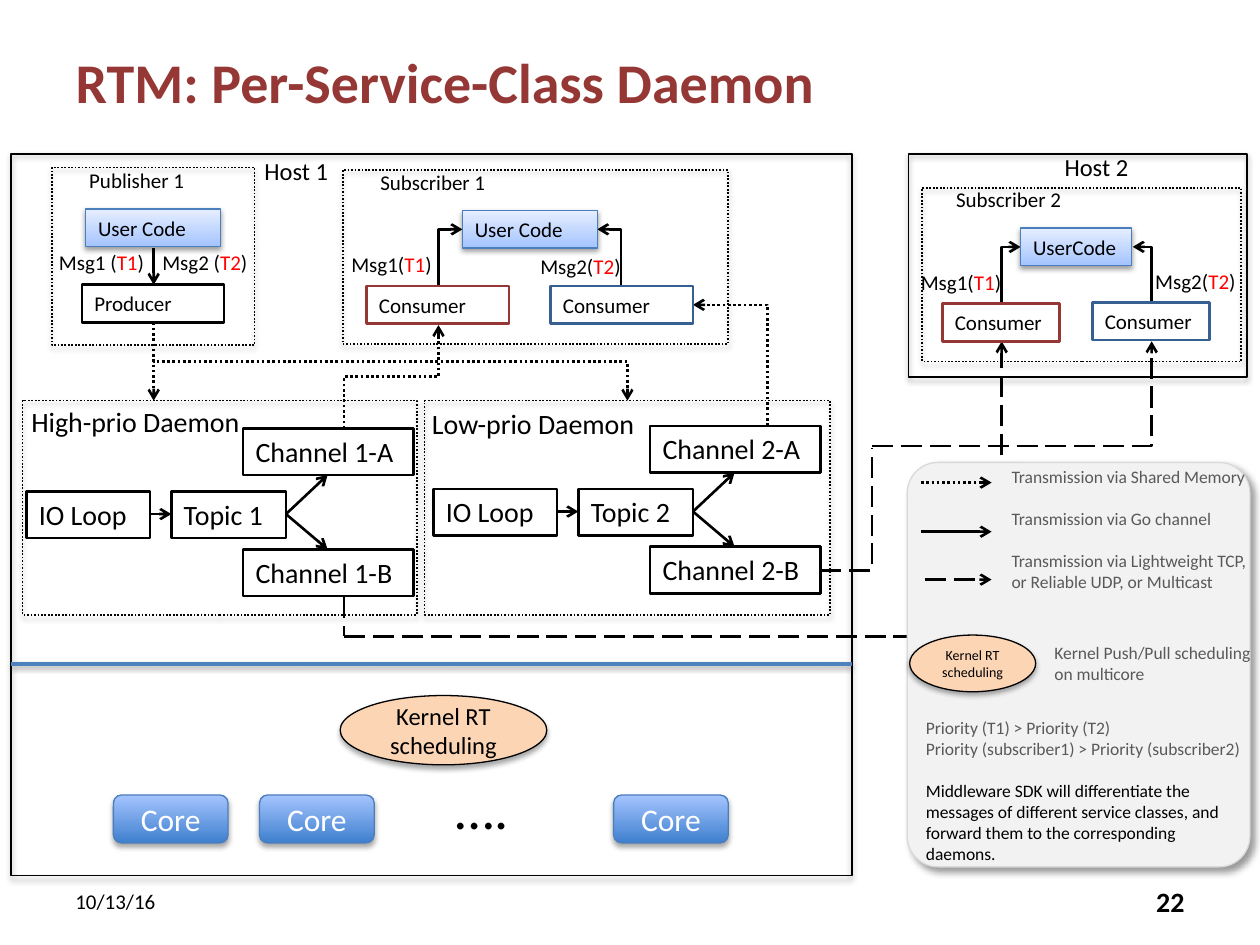
import pptx
import pptx.util
import pptx.dml.color
import pptx.enum.dml
import pptx.enum.shapes
import pptx.enum.text
import pptx.oxml.ns
from lxml import etree

Inches, Pt = pptx.util.Inches, pptx.util.Pt
RGB, qn = pptx.dml.color.RGBColor, pptx.oxml.ns.qn
PRESET, LINK = pptx.enum.shapes.MSO_SHAPE, pptx.enum.shapes.MSO_CONNECTOR
ANCHOR, ALIGN = pptx.enum.text.MSO_ANCHOR, pptx.enum.text.PP_ALIGN
FIT = pptx.enum.text.MSO_AUTO_SIZE
DOT = pptx.enum.dml.MSO_LINE.ROUND_DOT
DASH = pptx.enum.dml.MSO_LINE.LONG_DASH

BLACK, WHITE = RGB(0, 0, 0), RGB(255, 255, 255)
RED, MAROON, NAVY = RGB(255, 0, 0), RGB(0x95, 0x37, 0x35), RGB(0x37, 0x60, 0x92)
GREY, PANEL, EDGE = RGB(0x59, 0x59, 0x59), RGB(0xF2, 0xF2, 0xF2), RGB(0xD9, 0xD9, 0xD9)
PEACH, BLUE, RULE = RGB(0xFC, 0xD5, 0xB5), RGB(0x4B, 0x7E, 0xBC), RGB(0x4F, 0x81, 0xBD)
SKY, PALE, DEEP = RGB(0xA4, 0xC4, 0xFF), RGB(0xE6, 0xEE, 0xFF), RGB(0x3F, 0x80, 0xCE)

# Content: text between bars is red
TITLE = "RTM: Per-Service-Class Daemon"
FRAMES = [  # place, dash
    ((0.09, 1.22, 6.67, 5.73), None), ((7.21, 1.22, 2.69, 1.77), None),
    ((0.41, 1.33, 1.61, 1.41), DOT), ((2.72, 1.35, 3.06, 1.38), DOT),
    ((7.32, 1.49, 2.53, 1.38), DOT),
    ((0.18, 3.18, 3.13, 1.7), DOT), ((3.37, 3.18, 3.22, 1.7), DOT)]
LABELS = [  # text, place, size
    ("10/13/16", (0.5, 7, 2.33, 0.3), 12),
    ("Host 1", (2, 1.19, 0.91, 0.34), 14), ("Host 2", (8.35, 1.16, 0.91, 0.34), 14),
    ("Publisher 1", (0.61, 1.28, 1.37, 0.3), 12),
    ("Subscriber 1", (2.92, 1.3, 1.37, 0.3), 12),
    ("Subscriber 2", (7.49, 1.43, 1.14, 0.3), 12),
    ("Msg1 (|T1|)", (0.37, 1.93, 0.93, 0.3), 12),
    ("Msg2 (|T2|)", (1.19, 1.93, 0.93, 0.3), 12),
    ("Msg1(|T1|)", (2.69, 1.95, 0.93, 0.3), 12),
    ("Msg2(|T2|)", (4.19, 1.96, 0.93, 0.3), 12),
    ("Msg1(|T1|)", (7.21, 2.09, 0.89, 0.3), 12),
    ("Msg2(|T2|)", (9.07, 2.08, 0.88, 0.3), 12),
    ("High-prio Daemon", (0.15, 3.16, 1.97, 0.37), 16),
    ("Low-prio Daemon", (3.33, 3.18, 2.85, 0.37), 16),
    ("….", (3.52, 6.09, 0.66, 0.64), 32)]
USER_CODE = [("User Code", (0.68, 1.66, 1.07, 0.3)), ("User Code", (3.67, 1.67, 1.07, 0.3)),
             ("UserCode", (8.1, 1.81, 0.88, 0.3))]
ENDPOINTS = [("Producer", (0.65, 2.26, 1.13, 0.3), BLACK),
             ("Consumer", (2.91, 2.27, 1.13, 0.3), MAROON),
             ("Consumer", (4.37, 2.27, 1.13, 0.3), NAVY),
             ("Consumer", (7.48, 2.41, 0.93, 0.3), MAROON),
             ("Consumer", (8.67, 2.4, 0.93, 0.3), NAVY)]
DAEMONS = [(1, 0.21, 3.9), (2, 3.44, 3.88)]  # number, left and top of its IO loop
DAEMON_STEPS = [("IO Loop", 0, 0, 0.98), ("Topic {}", 1.15, 0, 0.91),
                ("Channel {}-A", 1.72, -0.5, 1.35), ("Channel {}-B", 1.72, 0.46, 1.35)]
DAEMON_ARROWS = [((0.98, 0.18), (1.15, 0.18)), ((2.06, 0.18), (2.39, -0.13)),
                 ((2.06, 0.18), (2.39, 0.46))]
ARROWS = [((1.22, 1.97), (1.22, 2.26), None), ((1.22, 2.56), (1.22, 3.18), DOT),
          ((7.31, 3.83), (7.87, 3.83), DOT), ((7.31, 4.22), (7.87, 4.22), None),
          ((7.34, 4.6), (7.87, 4.6), DASH)]
ELBOWS = [  # from, to, dash, bends, starts upright, arrow end
    ((8.1, 1.96), (7.95, 2.41), None, 1, False, "head"),
    ((9.14, 2.4), (8.99, 1.96), None, 1, True, "tail"),
    ((3.67, 1.82), (3.48, 2.27), None, 1, False, "head"),
    ((4.93, 2.27), (4.74, 1.82), None, 1, True, "tail"),
    ((2.73, 3.4), (3.48, 2.58), DOT, 2, True, "tail"),
    ((1.22, 2.56), (4.98, 3.18), DOT, 2, True, "tail"),
    ((6.09, 3.38), (5.5, 2.42), DOT, 1, True, "tail"),
    ((2.73, 5.05), (7.95, 2.71), DASH, 1, False, "tail"),
    ((6.51, 4.53), (6.92, 3.56), DASH, 1, False, None),
    ((6.92, 3.54), (9.14, 2.71), DASH, 1, False, "tail")]
SCHEDULERS = [((2.7, 5.52, 1.64, 0.55), 14), ((7.22, 5.04, 1, 0.45), 8)]
CORE_LEFTS = [0.9, 2.06, 4.87]
LEGEND = [  # place, paragraphs of (text, colour, space before)
    ((7.93, 3.65, 2.14, 1.11), [
        ("Transmission via Shared Memory", GREY, 0), ("Transmission via Go channel", GREY, 12),
        ("Transmission via Lightweight TCP, or Reliable UDP, or Multicast", GREY, 12)]),
    ((8.27, 5.05, 1.86, 0.44), [("Kernel Push/Pull scheduling", GREY, 0),
                                ("on multicore", GREY, 0)]),
    ((7.25, 5.64, 2.72, 1.28), [
        ("Priority (T1) > Priority (T2)", GREY, 0),
        ("Priority (subscriber1) > Priority (subscriber2)", GREY, 0),
        ("Middleware SDK will differentiate the messages of different service classes, "
         "and forward them to the corresponding daemons.", BLACK, 12)])]


def apply(target, **values):
    for name, value in values.items():
        setattr(target, name, value)


def write(frame, paragraphs, size, bold=False, align=ALIGN.LEFT, anchor=ANCHOR.TOP, fit=FIT.NONE):
    apply(frame, word_wrap=True, vertical_anchor=anchor, auto_size=fit)
    for i, (text, color, gap) in enumerate(paragraphs):
        line = frame.add_paragraph() if i else frame.paragraphs[0]
        apply(line, alignment=align, space_before=Pt(gap))
        for j, piece in enumerate(text.split("|")):
            run = line.add_run()
            run.text = piece
            apply(run.font, name="Calibri", size=Pt(size), bold=bold)
            run.font.color.rgb = RED if j % 2 else color


def label(place, paragraphs, size, **style):
    box = slide.shapes.add_textbox(*map(Inches, place))
    write(box.text_frame, paragraphs, size, **{"fit": FIT.SHAPE_TO_FIT_TEXT, **style})


def cast_shadow(part, alpha=35, blur=3.1, distance=1.8, angle=90):
    effects = part._element.spPr.find(qn("a:effectLst"))
    shadow = etree.SubElement(effects, qn("a:outerShdw"), blurRad=str(Pt(blur)),
                              dist=str(Pt(distance)), dir=str(angle * 60000), rotWithShape="0")
    tint = etree.SubElement(shadow, qn("a:srgbClr"), val="000000")
    etree.SubElement(tint, qn("a:alpha"), val=str(alpha * 1000))


def outline(part, color, width, dash=None):
    part.line.color.rgb = color
    apply(part.line, width=Pt(width), dash_style=dash)


def block(place, preset=PRESET.RECTANGLE, fill=None, line=BLACK, width=1.5, dash=None,
          shadow=None, text=None, size=12, color=BLACK, **style):
    part = slide.shapes.add_shape(preset, *map(Inches, place))
    part.shadow.inherit = False
    if fill is None:
        part.fill.background()
    elif isinstance(fill, list):
        part.fill.gradient()
        part.fill.gradient_angle = 90
        for stop, shade in zip(part.fill.gradient_stops, fill):
            stop.color.rgb = shade
    else:
        part.fill.solid()
        part.fill.fore_color.rgb = fill
    outline(part, line, width, dash)
    if shadow is not None:
        cast_shadow(part, **shadow)
    if text:
        write(part.text_frame, [(text, color, 0)], size, **style)
    return part


def connect(start, end, dash=None, bends=0, upright=False, arrow="tail", color=BLACK, width=1.5):
    (x1, y1), (x2, y2) = start, end
    if upright:  # drawn lying down about its middle, then turned by 270 degrees
        mid_x, mid_y, run, rise = (x1 + x2) / 2, (y1 + y2) / 2, y1 - y2, x2 - x1
        x1, x2 = mid_x - run / 2, mid_x + run / 2
        y1, y2 = mid_y - rise / 2, mid_y + rise / 2
    link = slide.shapes.add_connector(LINK.ELBOW if bends else LINK.STRAIGHT,
                                      *map(Inches, (x1, y1, x2, y2)))
    outline(link, color, width, dash)
    shape_xml = link._element.spPr
    if upright:
        shape_xml.find(qn("a:xfrm")).set("rot", str(270 * 60000))
    if bends == 1:
        shape_xml.find(qn("a:prstGeom")).set("prst", "bentConnector2")
    if arrow:
        etree.SubElement(shape_xml.find(qn("a:ln")), qn(f"a:{arrow}End"), type="arrow")
    etree.SubElement(shape_xml, qn("a:effectLst"))
    return link


deck = pptx.Presentation()
apply(deck, slide_width=Inches(10), slide_height=Inches(7.5))
slide = deck.slides.add_slide(deck.slide_layouts[5])

# Title and page number
title = slide.shapes.title
apply(title, left=Inches(0.5), top=Inches(0.3), width=Inches(9), height=Inches(0.69))
write(title.text_frame, [(TITLE, MAROON, 0)], 32, bold=True, anchor=ANCHOR.MIDDLE)
label((7.17, 6.95, 2.33, 0.4), [("22", BLACK, 0)], 16, bold=True, align=ALIGN.RIGHT,
      anchor=ANCHOR.MIDDLE, fit=FIT.NONE)

# Hosts, message routes and the legend panel that covers one of them
for place, dash in FRAMES:
    block(place, width=1, dash=dash, shadow={})
for route in ELBOWS:
    connect(*route)
connect((2.73, 4.74), (2.73, 5.05), DASH, arrow=None)
panel = block((7.2, 3.67, 2.72, 3.21), PRESET.ROUNDED_RECTANGLE, PANEL, EDGE, 0.75,
              shadow=dict(alpha=40, blur=4, distance=3, angle=45))
panel.adjustments[0] = 0.09
for start, end, dash in ARROWS:
    connect(start, end, dash)
host_rule = connect((0.09, 5.27), (6.76, 5.27), arrow=None, color=RULE, width=2)
cast_shadow(host_rule, alpha=38, distance=1.6)

# Publisher and subscribers
for text, place in USER_CODE:
    block(place, fill=[SKY, PALE], line=BLUE, width=0.75, text=text,
          shadow=dict(alpha=38, distance=1.6), fit=FIT.SHAPE_TO_FIT_TEXT)
for text, place, color in ENDPOINTS:
    block(place, line=color, text=text, fit=FIT.SHAPE_TO_FIT_TEXT)

# Daemons
for number, left, top in DAEMONS:
    for text, dx, dy, width in DAEMON_STEPS:
        block((left + dx, top + dy, width, 0.37), text=text.format(number), size=16,
              fit=FIT.SHAPE_TO_FIT_TEXT)
    for start, end in DAEMON_ARROWS:
        connect(*[(left + x, top + y) for x, y in (start, end)])

# Scheduling and cores
centred = dict(align=ALIGN.CENTER, anchor=ANCHOR.MIDDLE, width=0.75, shadow={})
for place, size in SCHEDULERS:
    block(place, PRESET.OVAL, PEACH, text="Kernel RT scheduling", size=size, **centred)
for left in CORE_LEFTS:
    block((left, 6.31, 0.91, 0.38), PRESET.ROUNDED_RECTANGLE, [DEEP, SKY], BLUE,
          text="Core", size=18, color=WHITE, **centred)

# Labels and legend text
for text, place, size in LABELS:
    label(place, [(text, BLACK, 0)], size)
for place, paragraphs in LEGEND:
    label(place, paragraphs, 10)

deck.save("out.pptx")
